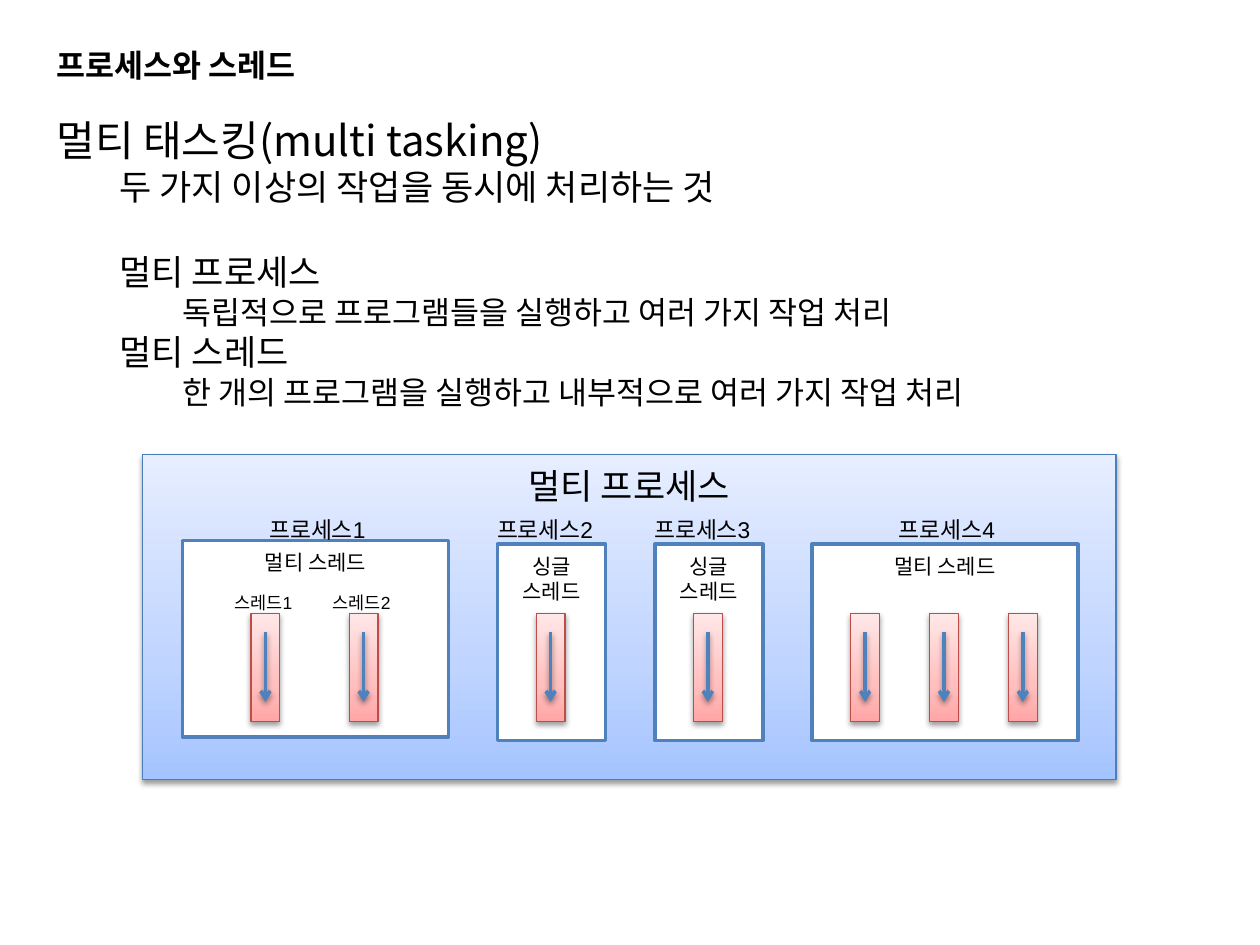
from dataclasses import dataclass

from pptx import Presentation
from pptx import util as u
from pptx.dml.color import RGBColor
from pptx.enum import shapes, text
from pptx.oxml import parse_xml
from pptx.oxml.ns import nsdecls, qn


@dataclass(frozen=True)
class Theme:
    """Colours, fonts and type sizes of the slide."""

    ink: str = "000000"
    paper: str = "FFFFFF"
    accent: str = "4F81BD"
    frame_line: str = "4B7EBC"
    thread_line: str = "BF4C48"
    frame_fill: tuple = ((0, "A4C4FF"), (35, "BFD4FF"), (100, "E6EEFF"))
    thread_fill: tuple = ((0, "FFA6A5"), (35, "FFC0BF"), (100, "FFE7E7"))
    korean: str = "Noto Sans CJK KR"
    latin: str = "Arial"
    title: int = 18
    levels: tuple = (24, 20, 18)
    heading: int = 20
    process: int = 13
    kind: int = 12
    thread: int = 10
    leading: float = 1.21


@dataclass(frozen=True)
class Box:
    """A rectangle in centimetres."""

    left: float
    top: float
    width: float
    height: float

    def lengths(self):
        """Return left, top, width and height as lengths."""
        return [u.Cm(side) for side in (self.left, self.top, self.width, self.height)]

    def inner(self, left, top, width, height):
        """Return a box placed relative to this one."""
        return Box(self.left + left, self.top + top, width, height)


@dataclass(frozen=True)
class Process:
    """One process with its kind and threads."""

    name: str
    kind: tuple
    width: float
    top: float
    label_shift: float
    threads: int
    pitch: float = 0
    thread_names: tuple = ()


THEME = Theme()
GAP = 0.99
PROCESSES = (
    Process("프로세스1", ("멀티 스레드",), 5.36, 1.73, 0.13, 2, 1.98, ("스레드1", "스레드2")),
    Process("프로세스2", ("싱글", "스레드"), 2.18, 1.8, -0.04, 1),
    Process("프로세스3", ("싱글", "스레드"), 2.18, 1.8, -0.04, 1),
    Process("프로세스4", ("멀티 스레드",), 5.36, 1.8, 0.13, 3, 1.59),
)
OUTLINE = (
    (0, "멀티 태스킹(multi tasking)", False),
    (1, "두 가지 이상의 작업을 동시에 처리하는 것", False),
    (1, "멀티 프로세스", True),
    (2, "독립적으로 프로그램들을 실행하고 여러 가지 작업 처리", False),
    (1, "멀티 스레드", False),
    (2, "한 개의 프로그램을 실행하고 내부적으로 여러 가지 작업 처리", False),
)


def style_paragraph(para, size, font, bold=False):
    """Set the type and line height of a paragraph."""
    para.line_spacing = u.Pt(round(size * THEME.leading, 1))
    para.font.size = u.Pt(size)
    para.font.name = font
    para.font.bold = bold
    para.font.color.rgb = RGBColor.from_string(THEME.ink)


def write_lines(shape, lines, size, font, align=text.PP_ALIGN.LEFT, bold=False):
    """Write one paragraph for each line, from the top of a shape."""
    frame = shape.text_frame
    frame.word_wrap = True
    frame.vertical_anchor = text.MSO_ANCHOR.TOP
    frame.margin_top = u.Cm(0.18)
    for index, line in enumerate(lines):
        para = frame.add_paragraph() if index else frame.paragraphs[0]
        para.text = line
        para.alignment = align
        style_paragraph(para, size, font, bold)


def add_label(page, box, line, size):
    """Add a short label that does not wrap."""
    label = page.shapes.add_textbox(*box.lengths())
    write_lines(label, [line], size, THEME.latin)
    label.text_frame.word_wrap = False
    label.text_frame.auto_size = text.MSO_AUTO_SIZE.SHAPE_TO_FIT_TEXT


def add_effects(shape, shadow=True):
    """Give a shape a soft shadow below it."""
    drop = (
        '<a:outerShdw blurRad="40000" dist="20000" dir="5400000" rotWithShape="0">'
        '<a:srgbClr val="000000"><a:alpha val="38000"/></a:srgbClr></a:outerShdw>'
    )
    shape._element.spPr.append(
        parse_xml(f'<a:effectLst {nsdecls("a")}>{drop}</a:effectLst>')
    )


def add_rectangle(parent, box, line, width, stops=None):
    """Add a white rectangle, or a shadowed one with a gradient."""
    shape = parent.shapes.add_shape(shapes.MSO_SHAPE.RECTANGLE, *box.lengths())
    shape.line.color.rgb = RGBColor.from_string(line)
    shape.line.width = u.Pt(width)
    if stops is None:
        shape.shadow.inherit = False
        shape.fill.solid()
        shape.fill.fore_color.rgb = RGBColor.from_string(THEME.paper)
        return shape
    shape.fill.gradient()
    shape.fill.gradient_angle = 90
    stop_list = shape._element.spPr.find(".//" + qn("a:gsLst"))
    stop_list.clear()
    for place, color in stops:
        stop_list.append(parse_xml(
            f'<a:gs {nsdecls("a")} pos="{place * 1000}"><a:srgbClr val="{color}"/></a:gs>'
        ))
    add_effects(shape)
    return shape


def add_title(page, box):
    """Add the slide title."""
    title = page.shapes.add_textbox(*box.lengths())
    write_lines(title, ["프로세스와 스레드"], THEME.title, THEME.korean, bold=True)


def add_outline(page, box):
    """Add the indented explanation of multitasking."""
    outline = page.shapes.add_textbox(*box.lengths())
    lines = [line for _, line, _ in OUTLINE]
    write_lines(outline, lines, THEME.levels[0], THEME.korean)
    for para, (level, _, spaced) in zip(outline.text_frame.paragraphs, OUTLINE):
        para.level = level
        para._p.get_or_add_pPr().set("marL", str(u.Cm(1.27 * level)))
        style_paragraph(para, THEME.levels[level], THEME.korean)
        if spaced:
            para.space_before = u.Pt(24.2)


def add_thread(page, box):
    """Add a thread bar grouped with its downward arrow."""
    group = page.shapes.add_group_shape()
    add_rectangle(group, box, THEME.thread_line, 0.75, THEME.thread_fill)
    middle, start = u.Cm(box.left + box.width / 2), box.top + 0.38
    arrow = group.shapes.add_connector(
        shapes.MSO_CONNECTOR.STRAIGHT, middle, u.Cm(start), middle, u.Cm(start + 1.4)
    )
    arrow.line.color.rgb = RGBColor.from_string(THEME.accent)
    arrow.line.width = u.Pt(2)
    arrow.line._get_or_add_ln().append(
        parse_xml(f'<a:tailEnd {nsdecls("a")} type="arrow"/>')
    )
    add_effects(arrow)


def add_process(page, box, process):
    """Add a process column with its label, frame and threads."""
    panel = add_rectangle(
        page, box.inner(0, process.top, process.width, 3.96), THEME.accent, 2
    )
    write_lines(panel, process.kind, THEME.kind, THEME.latin, text.PP_ALIGN.CENTER)
    label_left = (box.width - 2.62) / 2 + process.label_shift
    add_label(page, box.inner(label_left, 1.04, 2.62, 0.81), process.name, THEME.process)
    first = box.width / 2 - process.pitch * (process.threads - 1) / 2
    centers = [first + process.pitch * index for index in range(process.threads)]
    for center in centers:
        add_thread(page, box.inner(center - 0.31, 3.2, 0.58, 2.18))
    for center, name in zip(centers, process.thread_names):
        add_label(page, box.inner(center - 0.89, 2.59, 1.78, 0.69), name, THEME.thread)


def add_diagram(page, box):
    """Add the frame of processes, set side by side."""
    frame = add_rectangle(page, box, THEME.frame_line, 0.75, THEME.frame_fill)
    write_lines(frame, ["멀티 프로세스"], THEME.heading, THEME.korean, text.PP_ALIGN.CENTER)
    left = 0.81
    for process in PROCESSES:
        add_process(page, box.inner(left, 0, process.width, box.height), process)
        left += process.width + GAP


def main():
    """Build and save the deck."""
    deck = Presentation()
    deck.slide_width, deck.slide_height = u.Cm(25.4), u.Cm(19.05)
    page = deck.slides.add_slide(deck.slide_layouts[6])
    add_title(page, Box(0.89, 0.74, 10, 1.02))
    add_outline(page, Box(0.89, 2.13, 24.1, 6.25))
    add_diagram(page, Box(2.87, 9.17, 19.63, 6.55))
    deck.save("out.pptx")


if __name__ == "__main__":
    main()
